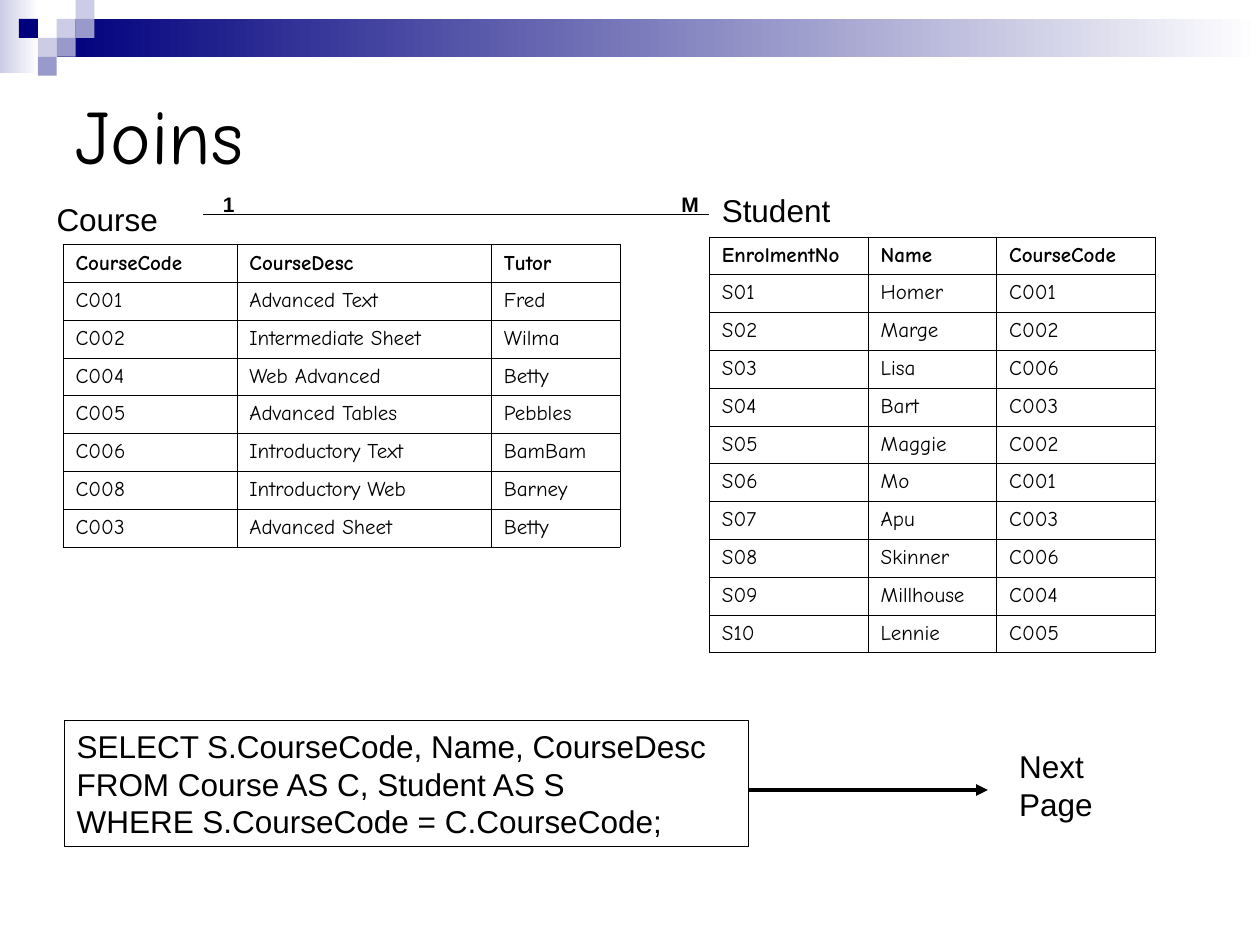
from lxml import etree
from pptx import Presentation
from pptx import util as u
from pptx.dml.color import RGBColor
from pptx.enum import shapes, text
from pptx.oxml.ns import qn

COLORS = {"ink": "000000", "paper": "FFFFFF", "navy": "00007D",
          "mid": "9999CC", "pale": "CCCCE6"}
SANS, HAND = "Arial", "Comic Neue"
COLUMNS, ROWS = 100, 75  # grid cells are a tenth of an inch square
TILE = 1.5               # side of a mosaic tile, in grid cells

COURSES = [
    ("CourseCode", "CourseDesc", "Tutor"),
    ("C001", "Advanced Text", "Fred"),
    ("C002", "Intermediate Sheet", "Wilma"),
    ("C004", "Web Advanced", "Betty"),
    ("C005", "Advanced Tables", "Pebbles"),
    ("C006", "Introductory Text", "BamBam"),
    ("C008", "Introductory Web", "Barney"),
    ("C003", "Advanced Sheet", "Betty"),
]
STUDENTS = [
    ("EnrolmentNo", "Name", "CourseCode"),
    ("S01", "Homer", "C001"),
    ("S02", "Marge", "C002"),
    ("S03", "Lisa", "C006"),
    ("S04", "Bart", "C003"),
    ("S05", "Maggie", "C002"),
    ("S06", "Mo", "C001"),
    ("S07", "Apu", "C003"),
    ("S08", "Skinner", "C006"),
    ("S09", "Millhouse", "C004"),
    ("S10", "Lennie", "C005"),
]
QUERY = ["SELECT S.CourseCode, Name, CourseDesc",
         "FROM Course AS C, Student AS S",
         "WHERE S.CourseCode = C.CourseCode;"]


def grid(*cells):
    return [u.Inches(round(cell / 10, 3)) for cell in cells]


def color(name):
    return RGBColor.from_string(COLORS[name])


def style(para, size, font=SANS, bold=False):
    para.font.size = u.Pt(size)
    para.font.name = font
    para.font.bold = bold
    para.font.color.rgb = color("ink")


def write(frame, lines, size, bold=False):
    """Fill a text frame with left-aligned lines at 1.2 times the type size."""
    frame.word_wrap = True
    frame.vertical_anchor = text.MSO_ANCHOR.TOP
    frame.text = "\n".join(lines)
    for para in frame.paragraphs:
        para.alignment = text.PP_ALIGN.LEFT
        para.line_spacing = u.Pt(size * 1.2)
        style(para, size, bold=bold)


def add_label(page, box, lines, size=18, bold=False):
    label = page.shapes.add_textbox(*grid(*box))
    write(label.text_frame, lines, size, bold)


def add_rectangle(page, box):
    rectangle = page.shapes.add_shape(shapes.MSO_SHAPE.RECTANGLE, *grid(*box))
    rectangle.shadow.inherit = False
    rectangle.line.fill.background()
    return rectangle


def add_line(page, start, end, width, arrow=False):
    line = page.shapes.add_connector(
        shapes.MSO_CONNECTOR.STRAIGHT, *grid(*start, *end))
    line.line.color.rgb = color("ink")
    line.line.width = u.Pt(width)
    if arrow:
        etree.SubElement(line.line._get_or_add_ln(), qn("a:tailEnd"), type="triangle")
    etree.SubElement(line._element.spPr, qn("a:effectLst"))


def add_banner(page, box):
    """Two fading bands and a mosaic of tiles across the top of the box."""
    left, top, width, height = box
    bar_left = left + 3 * TILE
    bands = [("pale", (left, top, 3.1, height)),
             ("navy", (bar_left, top + TILE, left + width - bar_left, 2 * TILE))]
    for shade, band_box in bands:
        fill = add_rectangle(page, band_box).fill
        fill.gradient()
        fill.gradient_angle = 0
        for stop, name, position in zip(fill.gradient_stops, (shade, "paper"), (0, 1)):
            stop.color.rgb = color(name)
            stop.position = position

    tiles = [(3, 1, "pale"), (4, 0, "pale"), (4, 1, "mid"), (2, 2, "pale"),
             (1, 1, "navy"), (3, 2, "mid"), (2, 3, "mid")]
    for column, row, shade in tiles:
        tile = add_rectangle(
            page, (left + column * TILE, top + row * TILE, TILE, TILE))
        tile.fill.solid()
        tile.fill.fore_color.rgb = color(shade)


def set_title(page, box, words):
    title = page.shapes.title
    title.left, title.top, title.width, title.height = grid(*box)
    title.text_frame.text = words
    title.text_frame.vertical_anchor = text.MSO_ANCHOR.MIDDLE
    para = title.text_frame.paragraphs[0]
    para.alignment = text.PP_ALIGN.LEFT
    style(para, 44, HAND)


def border(cell):
    properties = cell._tc.get_or_add_tcPr()
    for side in ("lnL", "lnR", "lnT", "lnB"):
        edge = etree.SubElement(properties, qn(f"a:{side}"), w=str(u.Pt(0.34)))
        fill = etree.SubElement(edge, qn("a:solidFill"))
        etree.SubElement(fill, qn("a:srgbClr"), val=COLORS["ink"])


def add_records(page, corner, widths, records, row_height=3):
    box = (*corner, sum(widths), row_height * len(records))
    table = page.shapes.add_table(len(records), len(widths), *grid(*box)).table
    table.horz_banding = False
    for column, width in zip(table.columns, grid(*widths)):
        column.width = width
    for row, record in enumerate(records):
        for column, value in enumerate(record):
            cell = table.cell(row, column)
            border(cell)
            cell.fill.solid()
            cell.fill.fore_color.rgb = color("paper")
            header = row == 0
            cell.vertical_anchor = (text.MSO_ANCHOR.MIDDLE if header
                                    else text.MSO_ANCHOR.TOP)
            cell.text = value
            style(cell.text_frame.paragraphs[0], 12, HAND, header)


def add_relation(page, box):
    """A one-to-many line at the foot of the box, with a mark near each end."""
    left, top, width, height = box
    right, foot = left + width, top + height
    add_line(page, (left, foot), (right, foot), 0.75)
    for mark, mark_left in (("1", left + 0.6), ("M", right - 3.2)):
        add_label(page, (mark_left, top, 4.9, 3), [mark], 12, True)


def add_query(page, box):
    """The framed query, then an arrow to the next page."""
    left, top, width, height = box
    frame = add_rectangle(page, box)
    frame.fill.background()
    frame.line.color.rgb = color("ink")
    frame.line.width = u.Pt(0.75)
    write(frame.text_frame, QUERY, 18)
    right, middle = left + width, top + 5.5
    add_line(page, (right, middle), (right + 19, middle), 2.25, arrow=True)
    add_label(page, (right + 20.5, top + 1.6, 8.7, 7), ["Next", "Page"])


def main():
    deck = Presentation()
    deck.slide_width, deck.slide_height = grid(COLUMNS, ROWS)
    page = deck.slides.add_slide(deck.slide_layouts[5])
    add_banner(page, (0, 0, COLUMNS, 5.8))
    set_title(page, (5, 5, 90, 11.2), "Joins")
    add_records(page, (5, 19.4), (13.8, 20.2, 10.2), COURSES)
    add_records(page, (56.3, 18.8), (12.6, 10.2, 12.6), STUDENTS)
    add_query(page, (5.1, 57.2, 54.3, 10))
    add_label(page, (3.5, 15.4, 21.2, 4), ["Course"])
    add_label(page, (56.3, 14.7, 21.2, 4), ["Student"])
    add_relation(page, (16.1, 14.7, 40.2, 2.3))
    deck.save("out.pptx")


if __name__ == "__main__":
    main()
